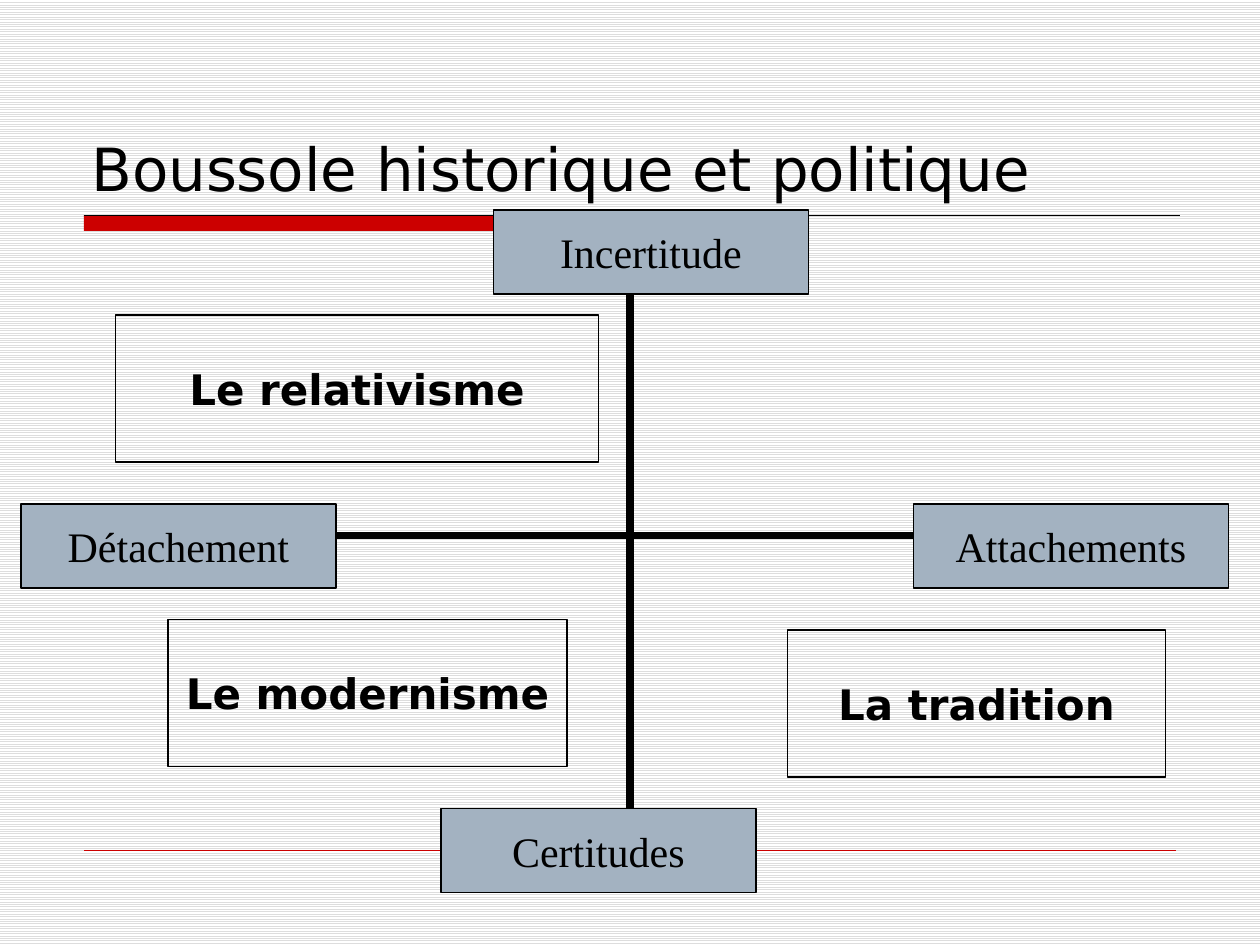
from dataclasses import dataclass
from typing import Optional

import pptx
import pptx.dml.color
import pptx.enum.dml
import pptx.enum.shapes
import pptx.enum.text
import pptx.oxml
import pptx.oxml.ns
import pptx.util

RGBColor = pptx.dml.color.RGBColor
BLACK = RGBColor(0x00, 0x00, 0x00)
WHITE = RGBColor(0xFF, 0xFF, 0xFF)
STRIPE_GREY = RGBColor(0xDD, 0xDD, 0xDD)
RED = RGBColor(0xCC, 0x00, 0x00)
POLE_BLUE = RGBColor(0xA3, 0xB2, 0xC1)

SANS = "DejaVu Sans"
SERIF = "Times New Roman"
POLE_SIZE = (30, 8)
POSITION_HEIGHT = 14


@dataclass(frozen=True)
class Box:
    """A labelled rectangle, measured in grid units."""
    label: str
    left: float
    top: float
    width: float
    height: float
    font: str
    bold: bool = False
    fill: Optional[RGBColor] = None


@dataclass(frozen=True)
class Line:
    """A straight line between two grid points, its weight in points."""
    start: tuple[float, float]
    end: tuple[float, float]
    color: RGBColor
    weight: float
    arrows: bool = False


def pole(label: str, left: float, top: float) -> Box:
    return Box(label, left, top, *POLE_SIZE, SERIF, fill=POLE_BLUE)


def position(label: str, left: float, top: float, width: float) -> Box:
    return Box(label, left, top, width, POSITION_HEIGHT, SANS, bold=True)


RULES = [
    Line((8, 20.5), (112.4, 20.5), BLACK, 0.75),
    Line((8, 81), (112, 81), RED, 0.25),
]
AXES = [
    Line((60, 25), (60, 80), BLACK, 4.5, arrows=True),
    Line((28, 51), (92, 51), BLACK, 4.5, arrows=True),
]
BOXES = [
    pole("Incertitude", 47, 20),
    pole("Certitudes", 42, 77),
    pole("Attachements", 87, 48),
    pole("Détachement", 2, 48),
    position("Le relativisme", 11, 30, 46),
    position("La tradition", 75, 60, 36),
    position("Le modernisme", 16, 59, 38),
]


def grid(units: float) -> int:
    """Twelve grid units make an inch."""
    return pptx.util.Inches(units / 12)


def add_rectangle(slide, left: float, top: float, width: float, height: float):
    rectangle = slide.shapes.add_shape(
        pptx.enum.shapes.MSO_SHAPE.RECTANGLE,
        grid(left), grid(top), grid(width), grid(height))
    rectangle.shadow.inherit = False
    return rectangle


def format_font(paragraph, name: str, size: float, bold: bool = False) -> None:
    for run in paragraph.runs:
        run.font.name = name
        run.font.size = pptx.util.Pt(size)
        run.font.bold = bold
        run.font.color.rgb = BLACK


def draw_line(slide, line: Line) -> None:
    connector = slide.shapes.add_connector(
        pptx.enum.shapes.MSO_CONNECTOR.STRAIGHT,
        *map(grid, line.start + line.end))
    connector.line.color.rgb = line.color
    connector.line.width = pptx.util.Pt(line.weight)
    if line.arrows:
        outline = connector.line._get_or_add_ln()
        for end in ("a:headEnd", "a:tailEnd"):
            arrowhead = pptx.oxml.parse_xml(
                f'<{end} {pptx.oxml.ns.nsdecls("a")} type="triangle"/>')
            outline.append(arrowhead)
    connector._element.spPr.append(
        pptx.oxml.parse_xml(f'<a:effectLst {pptx.oxml.ns.nsdecls("a")}/>'))


def draw_box(slide, box: Box) -> None:
    rectangle = add_rectangle(slide, box.left, box.top, box.width, box.height)
    if box.fill is None:
        rectangle.fill.background()
    else:
        rectangle.fill.solid()
        rectangle.fill.fore_color.rgb = box.fill
    rectangle.line.color.rgb = BLACK
    rectangle.line.width = pptx.util.Pt(1)
    frame = rectangle.text_frame
    frame.text = box.label
    frame.word_wrap = False
    frame.vertical_anchor = pptx.enum.text.MSO_ANCHOR.MIDDLE
    frame.paragraphs[0].alignment = pptx.enum.text.PP_ALIGN.CENTER
    format_font(frame.paragraphs[0], box.font, 24, box.bold)


def draw_background(slide) -> None:
    stripes = slide.background.fill
    stripes.patterned()
    stripes.pattern = pptx.enum.dml.MSO_PATTERN.LIGHT_HORIZONTAL
    stripes.fore_color.rgb = STRIPE_GREY
    stripes.back_color.rgb = WHITE


def draw_title_bar(slide) -> None:
    bar = add_rectangle(slide, 8, 20.5, 61.1, 1.5)
    bar.fill.solid()
    bar.fill.fore_color.rgb = RED
    bar.line.fill.background()


def write_title(slide, heading: str) -> None:
    title = slide.shapes.title
    title.left, title.top = grid(7.5), grid(4)
    title.width, title.height = grid(105), grid(16)
    frame = title.text_frame
    frame.text = heading
    frame.word_wrap = True
    frame.auto_size = pptx.enum.text.MSO_AUTO_SIZE.NONE
    frame.vertical_anchor = pptx.enum.text.MSO_ANCHOR.BOTTOM
    frame.paragraphs[0].alignment = pptx.enum.text.PP_ALIGN.LEFT
    format_font(frame.paragraphs[0], SANS, 34)


def main() -> None:
    presentation = pptx.Presentation()
    presentation.slide_width = grid(120)
    presentation.slide_height = grid(90)
    title_only = presentation.slide_layouts[5]
    slide = presentation.slides.add_slide(title_only)

    draw_background(slide)
    write_title(slide, "Boussole historique et politique")
    draw_title_bar(slide)
    for line in RULES + AXES:
        draw_line(slide, line)
    for box in BOXES:
        draw_box(slide, box)
    presentation.save("out.pptx")


if __name__ == "__main__":
    main()
